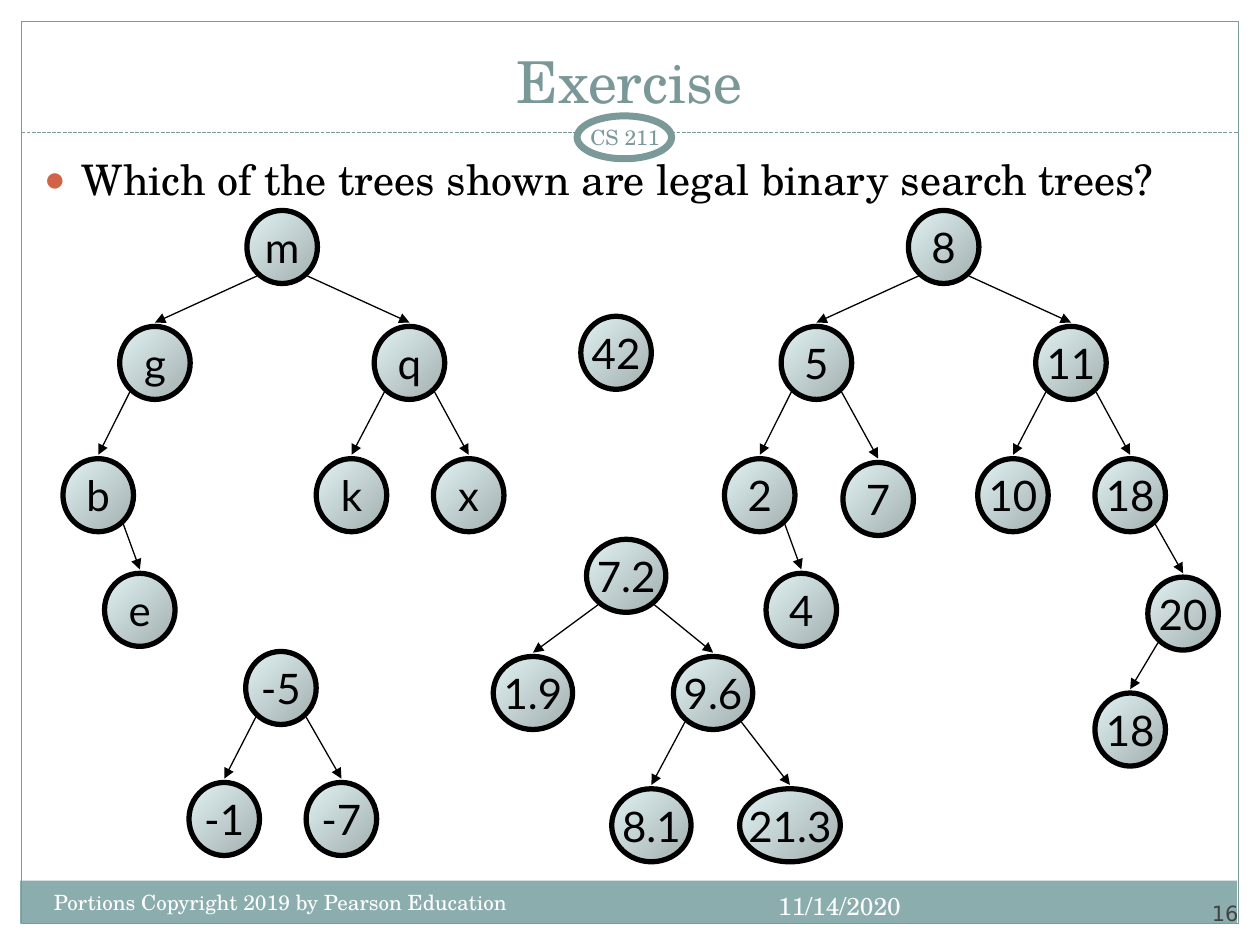
from dataclasses import dataclass

from pptx import Presentation
from pptx import util as u
from pptx.dml.color import RGBColor
from pptx.enum import dml, shapes, text
from pptx.oxml import parse_xml
from pptx.oxml.ns import nsdecls


@dataclass(frozen=True)
class Theme:
    """Colours, fonts and type sizes of the slide."""
    white: str = "FFFFFF"
    black: str = "000000"
    gray: str = "424242"
    teal: str = "7C999A"
    title: str = "7B9899"
    band: str = "8CADAE"
    bullet: str = "D16349"
    node_light: str = "E1F2F3"
    node_dark: str = "A2AFAF"
    serif: str = "TeX Gyre Schola"
    node_font: str = "Lato"
    number_font: str = "DejaVu Sans"
    title_size: int = 33
    body_size: int = 24
    date_size: int = 14
    small_size: int = 12


T = Theme()
LEFT, CENTER, RIGHT = text.PP_ALIGN.LEFT, text.PP_ALIGN.CENTER, text.PP_ALIGN.RIGHT
TOP, MIDDLE, BOTTOM = text.MSO_ANCHOR.TOP, text.MSO_ANCHOR.MIDDLE, text.MSO_ANCHOR.BOTTOM

NODE_HEIGHT = 0.58
NODE_WIDTHS = {1: 0.56, 2: 0.56, 3: 0.63, 4: 0.8}

# Each tree is (label, centre x, top y, left subtree, right subtree).
TREES = [
    ("m", 2.24, 1.67,
     ("g", 1.23, 2.59,
      ("b", 0.78, 3.64, None, ("e", 1.11, 4.55, None, None)), None),
     ("q", 3.25, 2.59,
      ("k", 2.79, 3.64, None, None), ("x", 3.72, 3.64, None, None))),
    ("8", 7.49, 1.67,
     ("5", 6.48, 2.59,
      ("2", 6.03, 3.64, None, ("4", 6.36, 4.55, None, None)),
      ("7", 6.97, 3.67, None, None)),
     ("11", 8.5, 2.59,
      ("10", 8.04, 3.64, None, None),
      ("18", 8.97, 3.64, None,
       ("20", 9.39, 4.58, ("18", 8.97, 5.5, None, None), None)))),
    ("42", 4.89, 2.51, None, None),
    ("-5", 2.23, 5.17,
     ("-1", 1.78, 6.21, None, None), ("-7", 2.71, 6.21, None, None)),
    ("7.2", 4.97, 4.28,
     ("1.9", 4.23, 5.21, None, None),
     ("9.6", 5.66, 5.21,
      ("8.1", 5.17, 6.26, None, None), ("21.3", 6.27, 6.26, None, None))),
]


def rgb(value):
    """Turn a hex string into a colour."""
    return RGBColor.from_string(value)


def write(sp, content, size=T.small_size, font=T.serif, color=T.white,
          align=LEFT, anchor=TOP, inset=None, wrap=True, bullet=None):
    """Put one formatted paragraph into a shape."""
    tf = sp.text_frame
    tf.auto_size = text.MSO_AUTO_SIZE.NONE
    tf.word_wrap = wrap
    tf.vertical_anchor = anchor
    if inset is not None:
        tf.margin_left = tf.margin_right = u.Inches(inset)
        tf.margin_top = tf.margin_bottom = u.Inches(inset)
    p = tf.paragraphs[0]
    if bullet:
        add_bullet(p, bullet)
    p.alignment = align
    p.space_before = u.Pt(0)
    r = p.add_run()
    r.text = content
    r.font.size = u.Pt(size)
    r.font.name = font
    r.font.color.rgb = rgb(color)


def add_bullet(p, color):
    """Give a paragraph a round hanging bullet."""
    props = p._p.get_or_add_pPr()
    props.set("marL", str(u.Inches(0.3)))
    props.set("indent", str(-u.Inches(0.3)))
    ns = nsdecls("a")
    for xml in (f'<a:buClr {ns}><a:srgbClr val="{color}"/></a:buClr>',
                f'<a:buSzPct {ns} val="85000"/>',
                f'<a:buChar {ns} char="●"/>'):
        props.append(parse_xml(xml))


def place(sp, *box):
    """Move and size a shape, in inches."""
    sp.left, sp.top, sp.width, sp.height = map(u.Inches, box)
    return sp


def add_label(s, box, content, **fmt):
    """Add a text box."""
    write(s.shapes.add_textbox(*map(u.Inches, box)), content, **fmt)


def add_figure(s, kind, box, fill=None, line=None, width=0.75):
    """Add a preset shape with optional plain fill and outline."""
    sp = s.shapes.add_shape(kind, *map(u.Inches, box))
    sp.shadow.inherit = False
    if fill:
        sp.fill.solid()
        sp.fill.fore_color.rgb = rgb(fill)
    else:
        sp.fill.background()
    if line:
        sp.line.color.rgb = rgb(line)
        sp.line.width = u.Pt(width)
    else:
        sp.line.fill.background()
    return sp


def add_line(s, ends, color=T.black, dash=None, arrow=False):
    """Add a thin straight line between two points."""
    c = s.shapes.add_connector(shapes.MSO_CONNECTOR.STRAIGHT, *map(u.Inches, ends))
    c.line.color.rgb = rgb(color)
    c.line.width = u.Pt(0.75)
    if dash:
        c.line.dash_style = dash
    if arrow:
        c.line._get_or_add_ln().append(
            parse_xml(f'<a:tailEnd {nsdecls("a")} type="triangle"/>'))
    c._element.spPr.append(parse_xml(f'<a:effectLst {nsdecls("a")}/>'))


def add_node(s, label, x, y):
    """Add a shaded tree node centred on x with its top at y."""
    width = NODE_WIDTHS[len(label)]
    sp = add_figure(s, shapes.MSO_SHAPE.OVAL, (x - width / 2, y, width, NODE_HEIGHT),
                    line=T.black, width=3)
    sp.fill.gradient()
    sp.fill.gradient_angle = 315
    for stop, color in zip(sp.fill.gradient_stops, (T.node_light, T.node_dark)):
        stop.color.rgb = rgb(color)
    write(sp, label, size=T.body_size, font=T.node_font, color=T.black,
          align=CENTER, anchor=MIDDLE, wrap=False)


def add_tree(s, label, x, y, left, right):
    """Add a node, its subtrees and the arrows to them."""
    add_node(s, label, x, y)
    reach = 0.71 * NODE_WIDTHS[len(label)] / 2
    for side, child in ((-1, left), (1, right)):
        if child:
            add_tree(s, *child)
            add_line(s, (x + side * reach, y + 0.52, child[1], child[2] - 0.03),
                     arrow=True)


def add_frame(s):
    """Add the border, footer band, divider and course badge."""
    box, oval = shapes.MSO_SHAPE.RECTANGLE, shapes.MSO_SHAPE.OVAL
    add_figure(s, box, (0.16, 6.99, 9.66, 0.34), fill=T.band)
    add_figure(s, box, (0.17, 0.17, 9.66, 7.16), line=T.teal)
    add_line(s, (0.17, 1.05, 9.83, 1.05), T.teal, dash=dml.MSO_LINE.SQUARE_DOT)
    add_figure(s, oval, (4.58, 0.92, 0.75, 0.34), fill=T.white, line=T.teal, width=4)
    add_label(s, (4.5, 0.92, 0.92, 0.33), "CS 211", color=T.teal,
              align=CENTER, anchor=MIDDLE, inset=0.05)
    add_label(s, (0.33, 7.01, 4.08, 0.4), "Portions Copyright 2019 by Pearson Education")
    add_label(s, (5.59, 7.02, 1.66, 0.4), "11/14/2020", size=T.date_size, align=RIGHT)
    add_label(s, (9, 6.95, 0.83, 0.4), "16", font=T.number_font, color=T.gray,
              align=RIGHT, anchor=BOTTOM, inset=0)


def main():
    """Build and save the slide."""
    prs = Presentation()
    prs.slide_width, prs.slide_height = u.Inches(10), u.Inches(7.5)
    s = prs.slides.add_slide(prs.slide_layouts[1])
    title, body = s.placeholders
    write(place(title, 0.33, 0.25, 9.33, 0.71), "Exercise", size=T.title_size,
          color=T.title, align=CENTER, anchor=BOTTOM)
    write(place(body, 0.25, 1.17, 9.5, 5.58),
          "Which of the trees shown are legal binary search trees?",
          size=T.body_size, color=T.black, bullet=T.bullet)
    add_frame(s)
    for tree in TREES:
        add_tree(s, *tree)
    prs.save("out.pptx")


if __name__ == "__main__":
    main()
